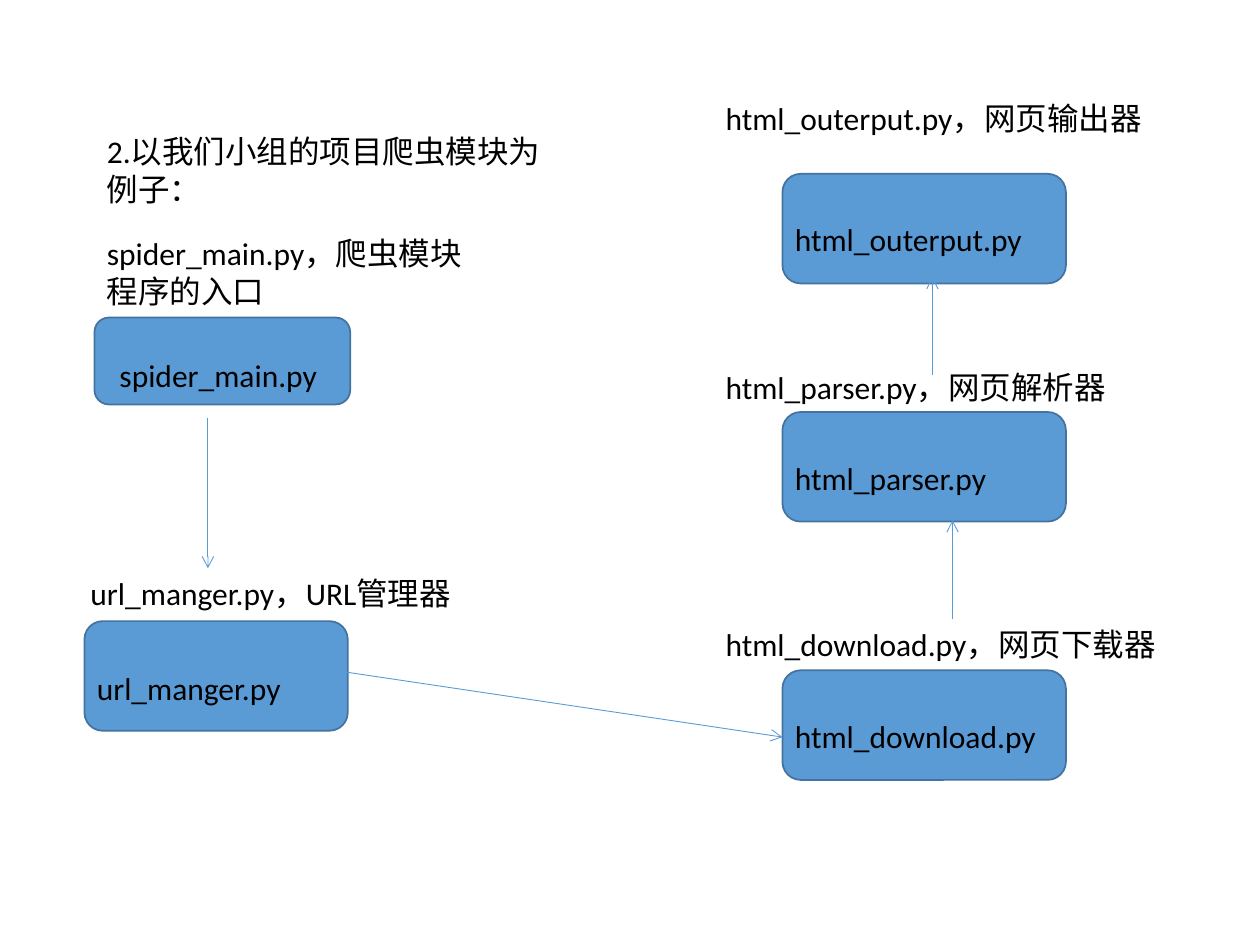
from dataclasses import dataclass

from lxml.etree import SubElement
from pptx import Presentation
from pptx.dml.color import RGBColor
from pptx.enum.shapes import MSO_CONNECTOR as Connector, MSO_SHAPE as Preset
from pptx.enum.text import MSO_AUTO_SIZE as AutoSize
from pptx.oxml.ns import qn
from pptx.util import Inches, Pt

COLORS = {"fill": "5B9BD5", "border": "43739E", "arrow": "5B9BD5", "text": "000000"}
FONT_FORMAT = {"name": "Calibri", "size": Pt(18)}
FRAME_FORMAT = {"word_wrap": True, "auto_size": AutoSize.SHAPE_TO_FIT_TEXT}
WIDE_COMMA = "\uff0c"
WIDE_COLON = "\uff1a"


@dataclass
class Label:
    text: str
    left: float
    top: float
    width: float
    height: float = 0.4


@dataclass
class Module:
    left: float
    top: float
    width: float
    height: float
    caption: Label
    name: Label


@dataclass
class Arrow:
    start: tuple[float, float]
    end: tuple[float, float]


def color(key: str) -> RGBColor:
    return RGBColor.from_string(COLORS[key])


def draw_label(slide, label: Label) -> None:
    shape = slide.shapes.add_textbox(
        *map(Inches, (label.left, label.top, label.width, label.height)))
    frame = shape.text_frame
    for name, value in FRAME_FORMAT.items():
        setattr(frame, name, value)
    run = frame.paragraphs[0].add_run()
    run.text = label.text
    for name, value in FONT_FORMAT.items():
        setattr(run.font, name, value)
    run.font.color.rgb = color("text")


def draw_module(slide, module: Module) -> None:
    shape = slide.shapes.add_shape(
        Preset.ROUNDED_RECTANGLE,
        *map(Inches, (module.left, module.top, module.width, module.height)))
    shape.shadow.inherit = False
    shape.fill.solid()
    shape.fill.fore_color.rgb = color("fill")
    shape.line.color.rgb = color("border")
    shape.line.width = Pt(1)
    draw_label(slide, module.caption)
    draw_label(slide, module.name)


def draw_arrow(slide, arrow: Arrow) -> None:
    connector = slide.shapes.add_connector(
        Connector.STRAIGHT, *map(Inches, arrow.start + arrow.end))
    connector.line.color.rgb = color("arrow")
    connector.line.width = Pt(0.5)
    SubElement(connector.line._get_or_add_ln(), qn("a:tailEnd"), type="arrow")
    SubElement(connector._element.spPr, qn("a:effectLst"))


def caption_text(name: str, role: str) -> str:
    return f"{name}{WIDE_COMMA}{role}"


def html_module(name: str, role: str, top: float, caption_top: float) -> Module:
    return Module(6.21, top, 2.25, 0.87,
                  Label(caption_text(name, role), 5.66, caption_top, 3.79),
                  Label(name, 6.21, round(top + 0.32, 2), 2.35))


HEADING = Label(f"2.以我们小组的项目爬虫模块为例子{WIDE_COLON}", 0.75, 1, 3.75, 0.71)
MODULES = [
    Module(0.75, 2.52, 2.03, 0.69,
           Label(caption_text("spider_main.py", "爬虫模块程序的入口"),
                 0.75, 1.81, 3.24, 0.71),
           Label("spider_main.py", 0.85, 2.78, 1.93)),
    Module(0.67, 4.93, 2.09, 0.87,
           Label(caption_text("url_manger.py", "URL管理器"), 0.62, 4.51, 3.5),
           Label("url_manger.py", 0.67, 5.26, 2.03)),
    html_module("html_download.py", "网页下载器", 5.32, 4.91),
    html_module("html_parser.py", "网页解析器", 3.27, 2.87),
    html_module("html_outerput.py", "网页输出器", 1.38, 0.74),
]
ARROWS = [
    Arrow((1.65, 3.32), (1.65, 4.51)),
    Arrow((2.65, 5.32), (6.21, 5.85)),
    Arrow((7.56, 4.91), (7.56, 4.13)),
    Arrow((7.4, 2.98), (7.4, 2.2)),
]

presentation = Presentation()
presentation.slide_width = Inches(10)
presentation.slide_height = Inches(7.5)
slide = presentation.slides.add_slide(presentation.slide_layouts[6])

draw_label(slide, HEADING)
for module in MODULES:
    draw_module(slide, module)
for arrow in ARROWS:
    draw_arrow(slide, arrow)

presentation.save("out.pptx")
